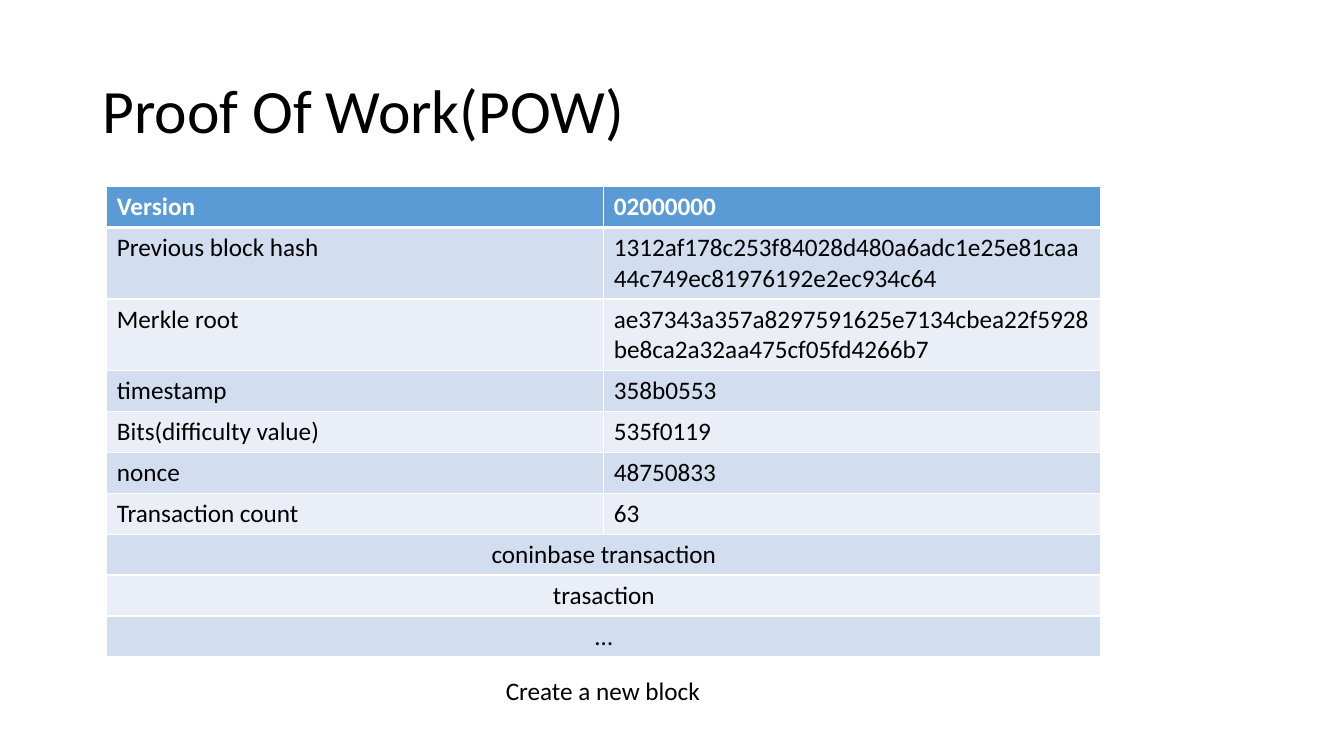
from dataclasses import dataclass

import pptx
import pptx.dml.color
import pptx.enum.text
import pptx.oxml
import pptx.oxml.ns
import pptx.util

Pt = pptx.util.Pt
PP_ALIGN = pptx.enum.text.PP_ALIGN
MSO_ANCHOR = pptx.enum.text.MSO_ANCHOR
MSO_AUTO_SIZE = pptx.enum.text.MSO_AUTO_SIZE


@dataclass(frozen=True)
class Theme:
    font: str = "Calibri"
    title_size: int = 44
    body_size: int = 18
    text: str = "000000"
    header_text: str = "FFFFFF"
    header_fill: str = "5B9BD5"
    bands: tuple = ("D2DEEF", "EAEFF7")
    border: str = "FFFFFF"


class SlideBuilder:
    def __init__(self, prs, theme):
        self.theme = theme
        self.s = prs.slides.add_slide(prs.slide_layouts[5])

    def format_text(self, tf, size, color, bold=False, align=PP_ALIGN.LEFT):
        for p in tf.paragraphs:
            p.alignment = align
            for r in p.runs:
                r.font.name = self.theme.font
                r.font.size = Pt(size)
                r.font.bold = bold
                r.font.color.rgb = pptx.dml.color.RGBColor.from_string(color)

    def title(self, text, left, top, width, height):
        sp = self.s.shapes.title
        sp.left, sp.top, sp.width, sp.height = map(Pt, (left, top, width, height))
        tf = sp.text_frame
        tf.text = text
        tf.auto_size = MSO_AUTO_SIZE.NONE
        tf.vertical_anchor = MSO_ANCHOR.MIDDLE
        tf.paragraphs[0].line_spacing = 0.9
        self.format_text(tf, self.theme.title_size, self.theme.text)

    def label(self, text, left, top, width, height):
        sp = self.s.shapes.add_textbox(*map(Pt, (left, top, width, height)))
        tf = sp.text_frame
        tf.text = text
        tf.word_wrap = False
        tf.auto_size = MSO_AUTO_SIZE.SHAPE_TO_FIT_TEXT
        self.format_text(tf, self.theme.body_size, self.theme.text)

    def cell_borders(self, cell, bottom):
        """Draw 1 pt borders, with the bottom one in its own width."""
        tcPr = cell._tc.get_or_add_tcPr()
        for i, (side, width) in enumerate(
            (("lnL", 1), ("lnR", 1), ("lnT", 1), ("lnB", bottom))
        ):
            ln = pptx.oxml.parse_xml(
                f'<a:{side} {pptx.oxml.ns.nsdecls("a")} w="{Pt(width)}"><a:solidFill>'
                f'<a:srgbClr val="{self.theme.border}"/></a:solidFill></a:{side}>'
            )
            tcPr.insert(i, ln)

    def table(self, rows, left, top, width, line_height, padding, tall_rows):
        """Rows of one text span both columns; tall rows hold two lines."""
        th = self.theme
        heights = [line_height * (2 if i in tall_rows else 1) + padding
                   for i in range(len(rows))]
        frame = self.s.shapes.add_table(
            len(rows), 2, Pt(left), Pt(top), Pt(width), Pt(sum(heights)))
        table = frame.table
        for column in table.columns:
            column.width = Pt(width / 2)
        for i, texts in enumerate(rows):
            table.rows[i].height = Pt(heights[i])
            header, spans = i == 0, len(texts) == 1
            if spans:
                table.cell(i, 0).merge(table.cell(i, 1))
            fill = th.header_fill if header else th.bands[(i - 1) % 2]
            for j in range(2):
                cell = table.cell(i, j)
                cell.fill.solid()
                cell.fill.fore_color.rgb = pptx.dml.color.RGBColor.from_string(fill)
                self.cell_borders(cell, 3 if header else 1)
            for j, text in enumerate(texts):
                tf = table.cell(i, j).text_frame
                tf.text = text
                self.format_text(
                    tf, th.body_size, th.header_text if header else th.text,
                    bold=header, align=PP_ALIGN.CENTER if spans else PP_ALIGN.LEFT)


BLOCK_FIELDS = [
    ("Version", "02000000"),
    ("Previous block hash",
     "1312af178c253f84028d480a6adc1e25e81caa44c749ec81976192e2ec934c64"),
    ("Merkle root",
     "ae37343a357a8297591625e7134cbea22f5928be8ca2a32aa475cf05fd4266b7"),
    ("timestamp", "358b0553"),
    ("Bits(difficulty value)", "535f0119"),
    ("nonce", "48750833"),
    ("Transaction count", "63"),
    ("coninbase transaction",),
    ("trasaction",),
    ("…",),
]


def main():
    prs = pptx.Presentation()
    prs.slide_width, prs.slide_height = Pt(960), Pt(540)
    slide = SlideBuilder(prs, Theme())
    slide.title("Proof Of Work(POW)", 66, 28.8, 828, 104.4)
    slide.table(BLOCK_FIELDS, left=76.3, top=133.2, width=710,
                line_height=22, padding=7.2, tall_rows=(1, 2))
    slide.label("Create a new block", 354.2, 478.8, 154.8, 29)
    prs.save("out.pptx")


if __name__ == "__main__":
    main()
